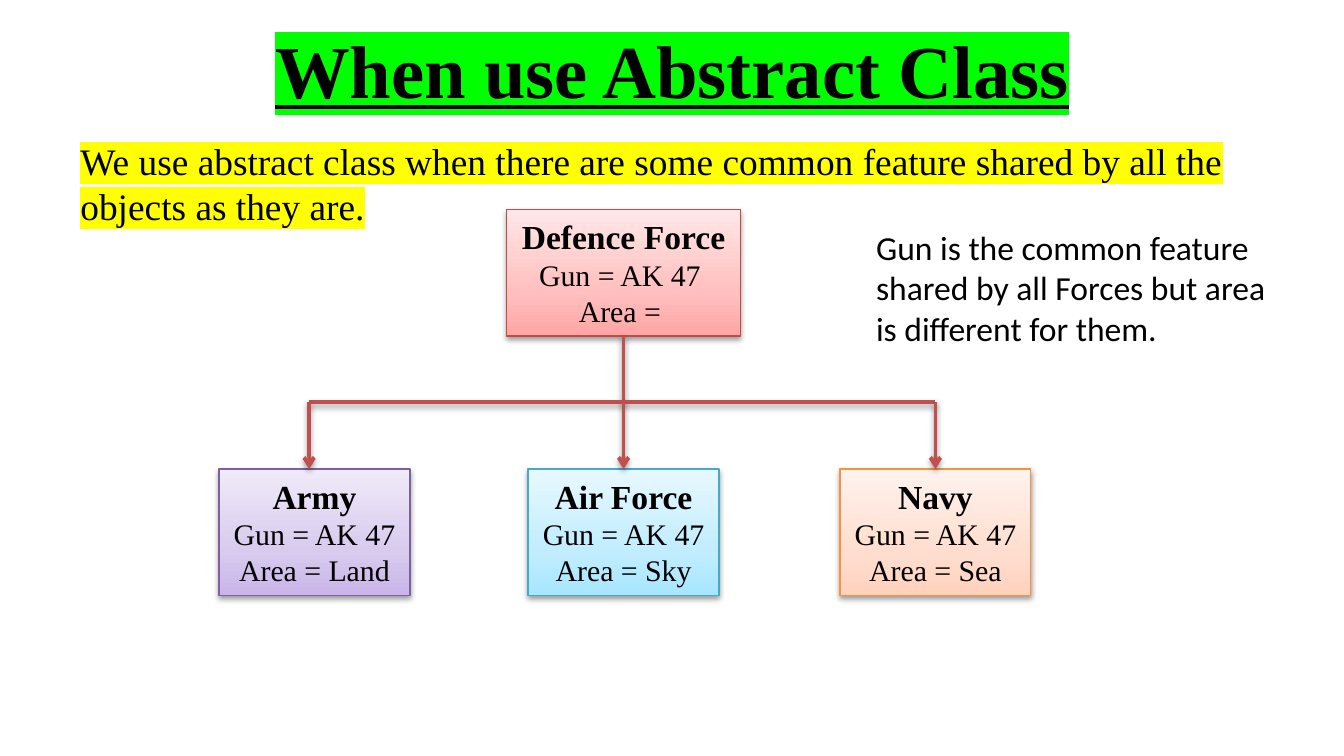
"""Build a slide showing when to use an abstract class, with a defence force tree."""
from typing import NamedTuple, Optional

from lxml.etree import SubElement
from pptx import Presentation
from pptx.dml.color import RGBColor
from pptx.enum.shapes import MSO_CONNECTOR as Connector, MSO_SHAPE as Shape
from pptx.enum.text import MSO_ANCHOR as Anchor, MSO_AUTO_SIZE as AutoSize, PP_ALIGN as Align
from pptx.oxml.ns import qn
from pptx.util import Inches, Pt

BLACK = RGBColor(0x00, 0x00, 0x00)
GREEN = RGBColor(0x00, 0xFF, 0x00)
YELLOW = RGBColor(0xFF, 0xFF, 0x00)
RED = RGBColor(0xC0, 0x50, 0x4D)
SERIF = "Times New Roman"
SANS = "Calibri"
SLIDE_WIDTH = 10
SLIDE_HEIGHT = SLIDE_WIDTH * 9 / 16
BOX_HEIGHT = 0.94
FORCE_WIDTH = 1.42
FORCE_TOP = 3.49
RAIL_Y = 2.99
RAIL_LEFT, RAIL_MIDDLE, RAIL_RIGHT = 2.3, 4.64, 6.96


class Palette(NamedTuple):
    dark: RGBColor
    medium: RGBColor
    light: RGBColor
    outline: RGBColor


class Force(NamedTuple):
    left: float
    top: float
    width: float
    lines: tuple[str, ...]
    palette: Palette


class Link(NamedTuple):
    start: tuple[float, float]
    end: tuple[float, float]
    arrow: bool = False
    source: Optional[int] = None
    target: Optional[int] = None


def palette(*codes: str) -> Palette:
    return Palette(*map(RGBColor.from_string, codes))


FORCES = (
    Force(3.77, 1.56, 1.74, ("Defence Force", "Gun = AK 47 ", "Area = "),
          palette("FFA6A5", "FFC0BF", "FFE7E7", "BF4C48")),
    Force(1.63, FORCE_TOP, FORCE_WIDTH, ("Army", "Gun = AK 47", "Area = Land"),
          palette("C9B5E8", "D8CBEE", "F0EAF9", "7D60A0")),
    Force(3.93, FORCE_TOP, FORCE_WIDTH, ("Air Force", "Gun = AK 47", "Area = Sky"),
          palette("A7E6FF", "C1EDFF", "E7F8FF", "46AAC5")),
    Force(6.25, FORCE_TOP, FORCE_WIDTH, ("Navy", "Gun = AK 47", "Area = Sea"),
          palette("FFD2BD", "FFDED0", "FFF2ED", "F69240")),
)
LINKS = (
    Link((RAIL_MIDDLE, 2.5), (RAIL_MIDDLE, RAIL_Y), source=0),
    Link((RAIL_LEFT, RAIL_Y), (RAIL_RIGHT, RAIL_Y)),
    Link((RAIL_LEFT, RAIL_Y), (RAIL_LEFT, FORCE_TOP), arrow=True),
    Link((RAIL_MIDDLE, RAIL_Y), (RAIL_MIDDLE, FORCE_TOP), arrow=True, target=2),
    Link((RAIL_RIGHT, RAIL_Y), (RAIL_RIGHT, FORCE_TOP), arrow=True, target=3),
)


def add_color(parent, color: RGBColor):
    return SubElement(parent, qn("a:srgbClr"), val=str(color))


def add_shadow(item) -> None:
    effects = SubElement(item._element.spPr, qn("a:effectLst"))
    shadow = SubElement(effects, qn("a:outerShdw"), blurRad=str(Pt(3.1)), dist=str(Pt(1.6)),
                        dir="5400000", rotWithShape="0")
    SubElement(add_color(shadow, BLACK), qn("a:alpha"), val="38000")


def fill_gradient(shape, colors: Palette) -> None:
    shape.fill.gradient()
    shape.fill.gradient_angle = 90
    stops = shape._element.spPr.find(qn("a:gradFill")).find(qn("a:gsLst"))
    for stop in list(stops):
        stops.remove(stop)
    for percent, color in zip((0, 35, 100), colors[:3]):
        add_color(SubElement(stops, qn("a:gs"), pos=str(percent * 1000)), color)


def write_lines(frame, lines: tuple[str, ...], sizes: tuple[int, ...], font: str, align: Align) -> None:
    frame.text = "\n".join(lines)
    for para, size in zip(frame.paragraphs, sizes):
        para.alignment = align
        para.font.name = font
        para.font.size = Pt(size)
        para.font.color.rgb = BLACK


def add_text(page, left: float, top: float, width: float, height: float,
             lines: tuple[str, ...], size: int, font: str, align: Align = Align.LEFT,
             highlight: Optional[RGBColor] = None):
    frame = page.shapes.add_textbox(Inches(left), Inches(top), Inches(width), Inches(height)).text_frame
    frame.word_wrap = True
    write_lines(frame, lines, (size,) * len(lines), font, align)
    if highlight is not None:
        for para in frame.paragraphs:
            for span in para.runs:
                add_color(SubElement(span._r.get_or_add_rPr(), qn("a:highlight")), highlight)
    return frame


def add_force(page, force: Force):
    box = page.shapes.add_shape(Shape.RECTANGLE, Inches(force.left), Inches(force.top),
                                Inches(force.width), Inches(BOX_HEIGHT))
    fill_gradient(box, force.palette)
    box.line.color.rgb = force.palette.outline
    box.line.width = Pt(0.75)
    add_shadow(box)
    frame = box.text_frame
    write_lines(frame, force.lines, (18, 16, 16), SERIF, Align.CENTER)
    frame.paragraphs[0].font.bold = True
    frame.vertical_anchor = Anchor.TOP
    frame.word_wrap = False
    frame.auto_size = AutoSize.SHAPE_TO_FIT_TEXT
    return box


def add_link(page, link: Link, boxes: list) -> None:
    line = page.shapes.add_connector(Connector.STRAIGHT, *map(Inches, link.start + link.end))
    if link.source is not None:
        line.begin_connect(boxes[link.source], 2)
    if link.target is not None:
        line.end_connect(boxes[link.target], 0)
    line.line.color.rgb = RED
    line.line.width = Pt(2)
    if link.arrow:
        SubElement(line.line._get_or_add_ln(), qn("a:tailEnd"), type="arrow")
    add_shadow(line)


def main() -> None:
    deck = Presentation()
    deck.slide_width, deck.slide_height = Inches(SLIDE_WIDTH), Inches(SLIDE_HEIGHT)
    page = deck.slides.add_slide(deck.slide_layouts[6])

    title = add_text(page, 0.5, 0.04, 9, 0.94, ("When use Abstract Class",), 40, SERIF,
                     Align.CENTER, GREEN)
    title.vertical_anchor = Anchor.MIDDLE
    title.paragraphs[0].font.bold = True
    title.paragraphs[0].font.underline = True

    body = add_text(page, 0.5, 0.98, 9, 1.5,
                    ("We use abstract class when there are some common feature shared "
                     "by all the objects as they are.",), 20, SERIF, highlight=YELLOW)
    body.paragraphs[0].space_before = Pt(4)

    boxes = [add_force(page, force) for force in FORCES]
    for link in LINKS:
        add_link(page, link, boxes)

    remark = add_text(page, 6.42, 1.64, 3.21, 1.01,
                      ("Gun is the common feature", "shared by all Forces but area",
                       "is different for them."), 18, SANS)
    remark.word_wrap = False
    remark.auto_size = AutoSize.SHAPE_TO_FIT_TEXT
    deck.save("out.pptx")


if __name__ == "__main__":
    main()
